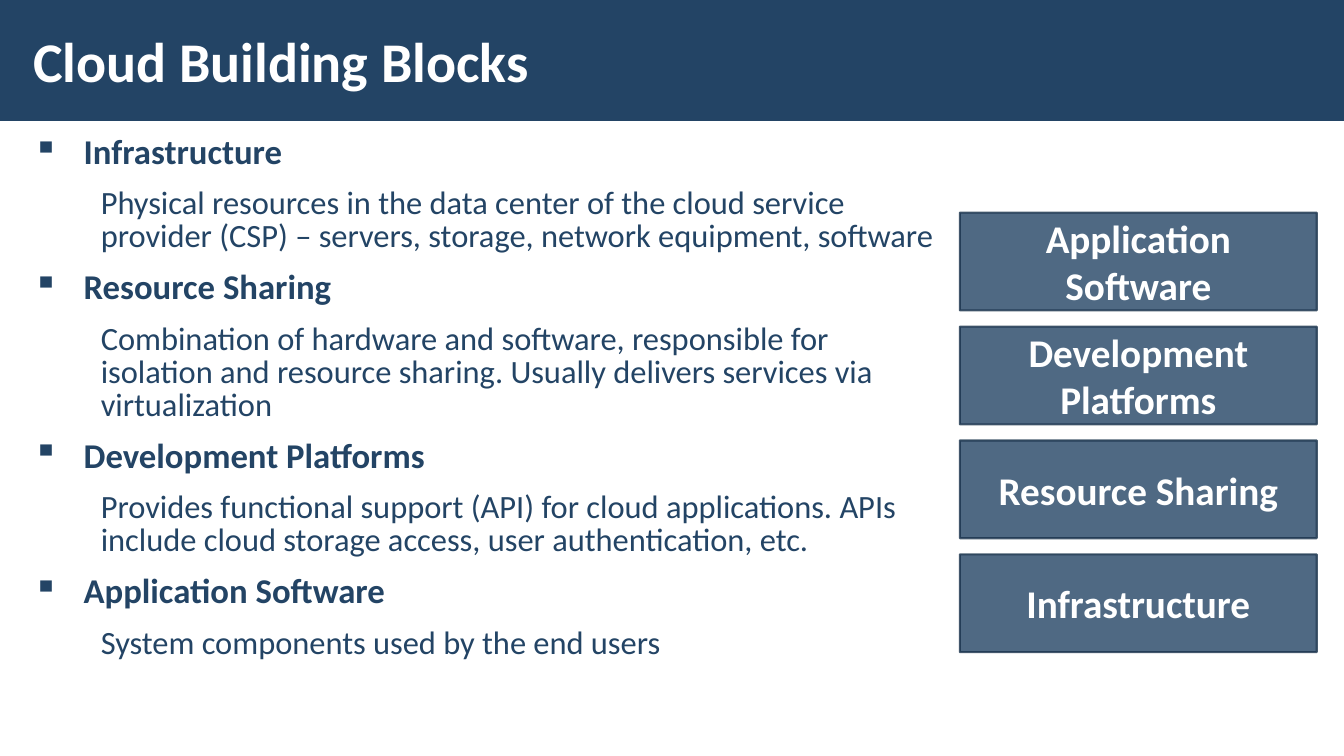
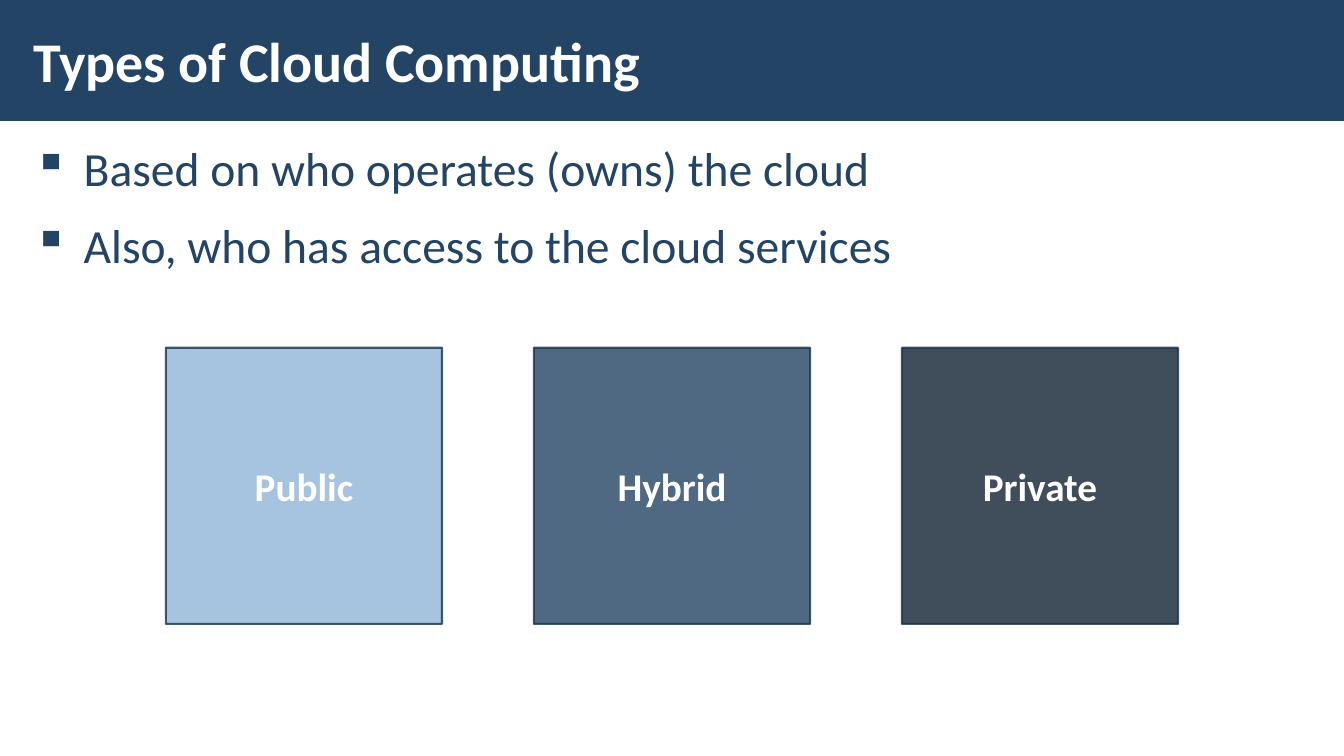
"""Build two slides on cloud building blocks and types of cloud computing."""
from lxml.etree import SubElement
from pptx import Presentation
from pptx.dml.color import RGBColor
from pptx.enum.shapes import MSO_SHAPE
from pptx.enum.text import MSO_ANCHOR, PP_ALIGN
from pptx.oxml.ns import qn
from pptx.util import Inches, Pt

BLOCKS_TITLE = "Cloud Building Blocks"
BLOCKS = [
    ("Infrastructure",
     "Physical resources in the data center of the cloud service provider (CSP) – "
     "servers, storage, network equipment, software"),
    ("Resource Sharing",
     "Combination of hardware and software, responsible for isolation and resource "
     "sharing. Usually delivers services via virtualization"),
    ("Development Platforms",
     "Provides functional support (API) for cloud applications. APIs include cloud "
     "storage access, user authentication, etc."),
    ("Application Software", "System components used by the end users"),
]
TYPES_TITLE = "Types of Cloud Computing"
TYPES_POINTS = [
    "Based on who operates (owns) the cloud",
    "Also, who has access to the cloud services",
]
CLOUD_TYPES = [("Public", "sky"), ("Hybrid", "navy"), ("Private", "ink")]

COLORS = {
    "navy": "234465",
    "sky": "90B4D8",
    "ink": "112233",
    "outline": "1A334C",
    "white": "FFFFFF",
}
FONT = "Calibri"
SLIDE_WIDTH, SLIDE_HEIGHT = 13.33, 7.5
BAND_HEIGHT = 1.2
TEXT_LEFT, BODY_TOP, BODY_HEIGHT = 0.21, 1.31, 5.69
OPACITY = 80


def color(name):
    return RGBColor.from_string(COLORS[name])


def set_opacity(color_parent):
    for color_element in color_parent.iter(qn("a:srgbClr")):
        SubElement(color_element, qn("a:alpha"), val=str(OPACITY * 1000))


def add_run(paragraph, text, size, color_name, bold):
    run = paragraph.add_run()
    run.text = text
    run.font.name = FONT
    run.font.size = Pt(size)
    run.font.bold = bold
    run.font.color.rgb = color(color_name)


def add_rectangle(slide, left, top, width, height, fill):
    shape = slide.shapes.add_shape(
        MSO_SHAPE.RECTANGLE, Inches(left), Inches(top), Inches(width), Inches(height))
    shape.shadow.inherit = False
    shape.fill.solid()
    shape.fill.fore_color.rgb = color(fill)
    shape.line.fill.background()
    return shape


def add_box(slide, text, left, top, width, height, fill="navy"):
    shape = add_rectangle(slide, left, top, width, height, fill)
    shape.line.color.rgb = color("outline")
    shape.line.width = Pt(1.5)
    set_opacity(shape.element.spPr)
    frame = shape.text_frame
    frame.word_wrap = True
    frame.vertical_anchor = MSO_ANCHOR.MIDDLE
    paragraph = frame.paragraphs[0]
    paragraph.alignment = PP_ALIGN.CENTER
    add_run(paragraph, text, 28, "white", True)


def add_text_frame(slide, top, width, height):
    text_box = slide.shapes.add_textbox(
        Inches(TEXT_LEFT), Inches(top), Inches(width), Inches(height))
    frame = text_box.text_frame
    frame.word_wrap = True
    frame.margin_left = frame.margin_right = Inches(0.12)
    frame.margin_top = frame.margin_bottom = Inches(0.04)
    return frame


def add_titled_slide(presentation, title):
    slide = presentation.slides.add_slide(presentation.slide_layouts[6])
    add_rectangle(slide, 0, 0, SLIDE_WIDTH, BAND_HEIGHT, "navy")
    frame = add_text_frame(slide, 0.11, 10.4, 0.97)
    frame.vertical_anchor = MSO_ANCHOR.MIDDLE
    add_run(frame.paragraphs[0], title, 40, "white", True)
    return slide


def add_body(slide, width, line_spacing, items):
    frame = add_text_frame(slide, BODY_TOP, width, BODY_HEIGHT)
    for index, (text, size, bold, bulleted) in enumerate(items):
        paragraph = frame.add_paragraph() if index else frame.paragraphs[0]
        paragraph.line_spacing = line_spacing
        paragraph.space_before = Pt(6 if index else 0)
        paragraph.space_after = Pt(6)
        properties = paragraph._p.get_or_add_pPr()
        if bulleted:
            properties.set("marL", str(Inches(0.5)))
            properties.set("indent", str(Inches(-0.5)))
            SubElement(properties, qn("a:buChar"), char="▪")
        else:
            paragraph.level = 1
            properties.set("marL", str(Inches(0.67)))
            properties.set("indent", "0")
            SubElement(properties, qn("a:buNone"))
        add_run(paragraph, text, size, "navy", bold)


def build_blocks_slide(presentation):
    slide = add_titled_slide(presentation, BLOCKS_TITLE)
    items = []
    for name, description in BLOCKS:
        items += [(name, 24.8, True, True), (description, 23.2, False, False)]
    add_body(slide, 9.27, 0.85, items)
    bottom_box_top, pitch = 5.5, 1.13
    for index, (name, _) in enumerate(BLOCKS):
        add_box(slide, name, 9.52, bottom_box_top - index * pitch, 3.54, 0.97)


def build_types_slide(presentation):
    slide = add_titled_slide(presentation, TYPES_TITLE)
    add_body(slide, 12.92, 1.05, [(point, 34, False, True) for point in TYPES_POINTS])
    side, pitch = 2.74, 3.65
    first_left = (SLIDE_WIDTH - side - pitch * (len(CLOUD_TYPES) - 1)) / 2
    for index, (name, fill) in enumerate(CLOUD_TYPES):
        add_box(slide, name, first_left + index * pitch, 3.45, side, side, fill)


def main():
    presentation = Presentation()
    presentation.slide_width = Inches(SLIDE_WIDTH)
    presentation.slide_height = Inches(SLIDE_HEIGHT)
    build_blocks_slide(presentation)
    build_types_slide(presentation)
    presentation.save("out.pptx")


if __name__ == "__main__":
    main()
